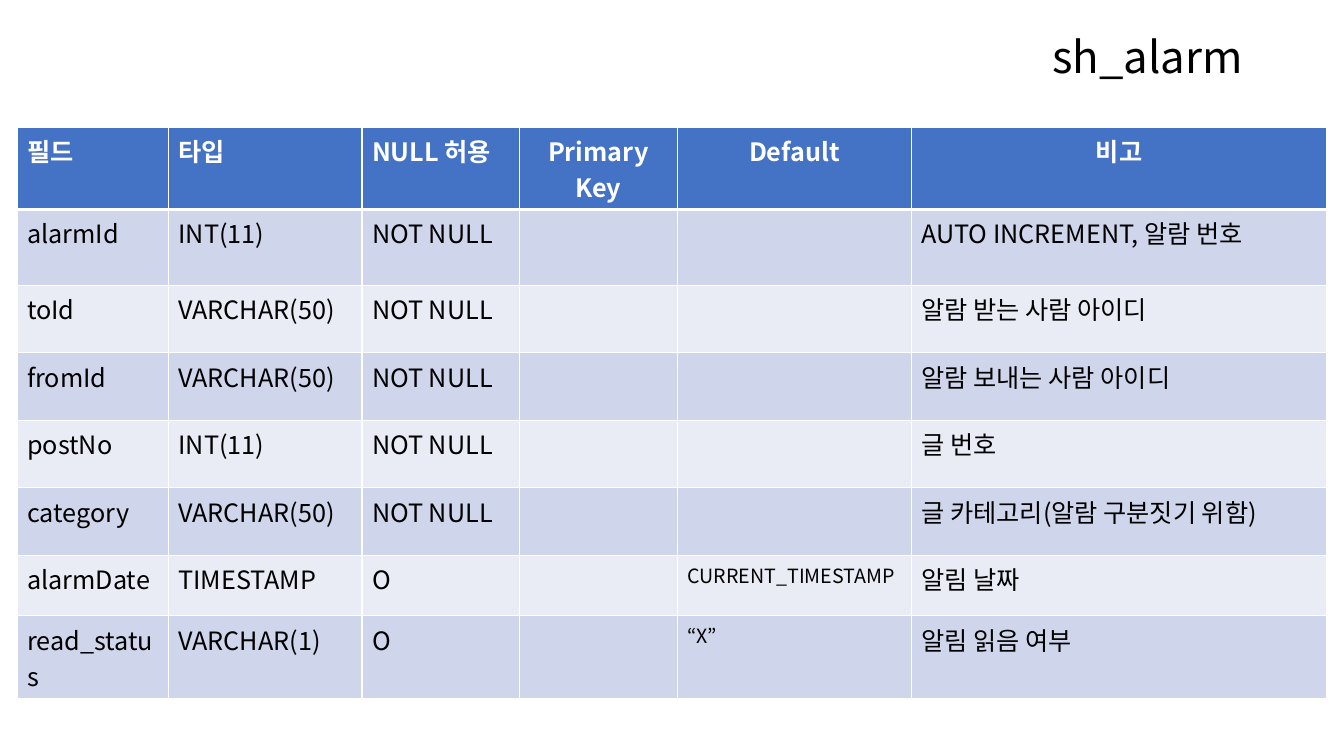
from lxml import etree
from pptx import Presentation, util as u
from pptx.dml.color import RGBColor
from pptx.enum import text
from pptx.oxml import ns

PX = 9144  # EMU per px, 100 px to the inch
FONT = "Noto Sans CJK KR"
WHITE, BLACK, HEADER_BLUE = "FFFFFF", "000000", "4472C4"
BANDS = ["CFD5EA", "E9EBF5"]

COLUMN_WIDTHS = [150, 192, 156, 157, 232, 412]
ROW_HEIGHTS = [82, 75, 67, 67, 67, 67, 60, 82]  # first and last hold two lines
DEFAULT_COLUMN = 4
FIRST_CENTERED_HEADER = 3
HEADERS = ["필드", "타입", "NULL 허용", "Primary Key", "Default", "비고"]
FIELDS = [
    ["alarmId", "INT(11)", "NOT NULL", "", "", "AUTO INCREMENT, 알람 번호"],
    ["toId", "VARCHAR(50)", "NOT NULL", "", "", "알람 받는 사람 아이디"],
    ["fromId", "VARCHAR(50)", "NOT NULL", "", "", "알람 보내는 사람 아이디"],
    ["postNo", "INT(11)", "NOT NULL", "", "", "글 번호"],
    ["category", "VARCHAR(50)", "NOT NULL", "", "", "글 카테고리(알람 구분짓기 위함)"],
    ["alarmDate", "TIMESTAMP", "O", "", "CURRENT_TIMESTAMP", "알림 날짜"],
    ["read_status", "VARCHAR(1)", "O", "", "“X”", "알림 읽음 여부"],
]


def px(*lengths):
    return [u.Emu(length * PX) for length in lengths]


def color(hex_value):
    return RGBColor.from_string(hex_value)


def add_run(paragraph, words, size, hex_value, bold=False):
    run = paragraph.add_run()
    run.text = words
    run.font.size = u.Pt(size)
    run.font.bold = bold
    run.font.color.rgb = color(hex_value)
    run.font.name = FONT
    # Hangul takes its typeface from the East Asian font
    etree.SubElement(run.font._element, ns.qn("a:ea"), typeface=FONT)


def add_title(slide, words):
    frame = slide.shapes.add_textbox(*px(1034, 27, 279, 63)).text_frame
    frame.word_wrap = True
    frame.vertical_anchor = text.MSO_ANCHOR.MIDDLE
    paragraph = frame.paragraphs[0]
    paragraph.line_spacing = 0.9
    add_run(paragraph, words, 31.2, BLACK)


def set_borders(cell, **widths):
    """Draw white borders; widths in points are keyed by side L, R, T, B."""
    properties = cell._tc.get_or_add_tcPr()
    for side, width in widths.items():
        line = etree.SubElement(properties, ns.qn(f"a:ln{side}"), w=str(u.Pt(width)))
        fill = etree.SubElement(line, ns.qn("a:solidFill"))
        etree.SubElement(fill, ns.qn("a:srgbClr"), val=WHITE)


def fill_cell(cell, row, column, words):
    is_header = row == 0
    set_borders(cell, L=1, R=1, T=3 if row == 1 else 1, B=3 if is_header else 1)
    cell.fill.solid()
    cell.fill.fore_color.rgb = color(HEADER_BLUE if is_header else BANDS[(row - 1) % 2])
    paragraph = cell.text_frame.paragraphs[0]
    if is_header and column >= FIRST_CENTERED_HEADER:
        paragraph.alignment = text.PP_ALIGN.CENTER
    if words:
        size = 14 if column == DEFAULT_COLUMN and not is_header else 18
        add_run(paragraph, words, size, WHITE if is_header else BLACK, is_header)


def add_field_table(slide):
    rows = [HEADERS] + FIELDS
    frame = px(17, 126, sum(COLUMN_WIDTHS), sum(ROW_HEIGHTS))
    table = slide.shapes.add_table(len(rows), len(HEADERS), *frame).table
    for column, width in zip(table.columns, px(*COLUMN_WIDTHS)):
        column.width = width
    for row, height in zip(table.rows, px(*ROW_HEIGHTS)):
        row.height = height
    for r, row in enumerate(rows):
        for c, words in enumerate(row):
            fill_cell(table.cell(r, c), r, c, words)


def main():
    presentation = Presentation()
    presentation.slide_width, presentation.slide_height = px(1333, 750)
    slide = presentation.slides.add_slide(presentation.slide_layouts[6])
    add_title(slide, "sh_alarm")
    add_field_table(slide)
    presentation.save("out.pptx")


if __name__ == "__main__":
    main()
